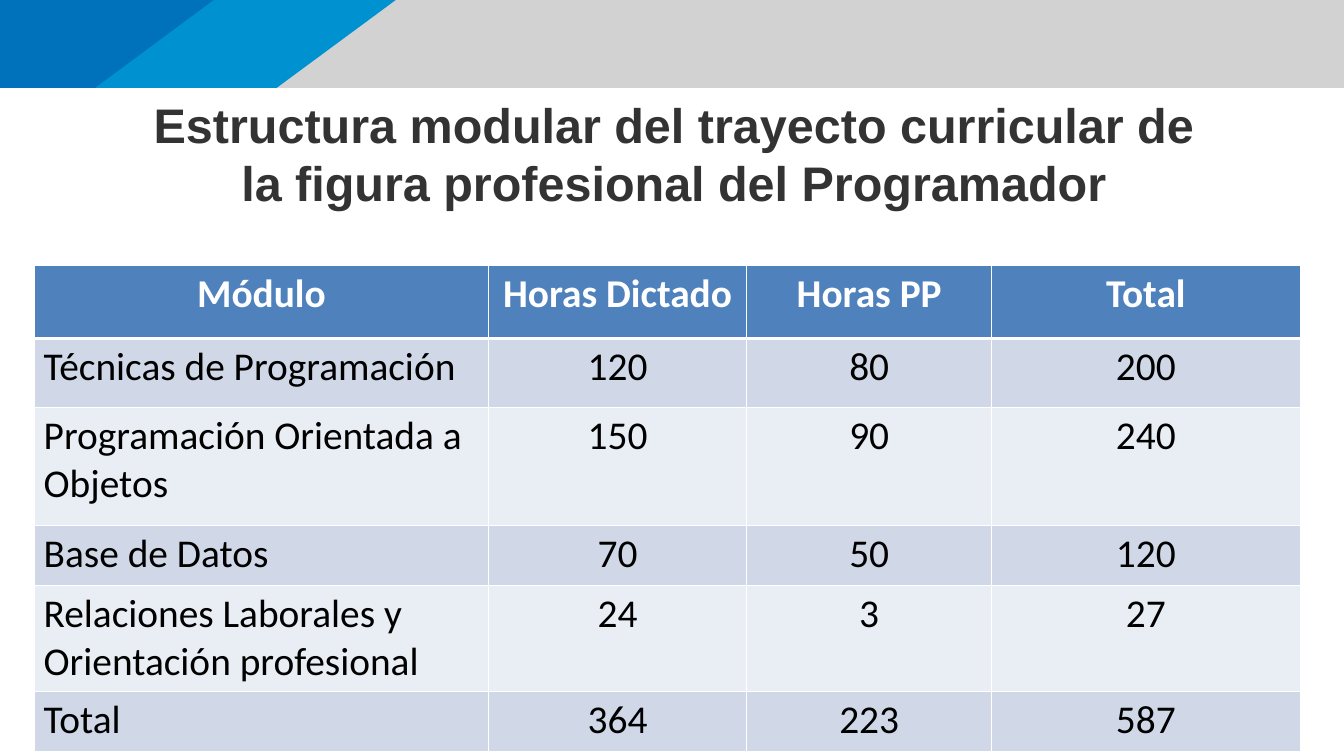
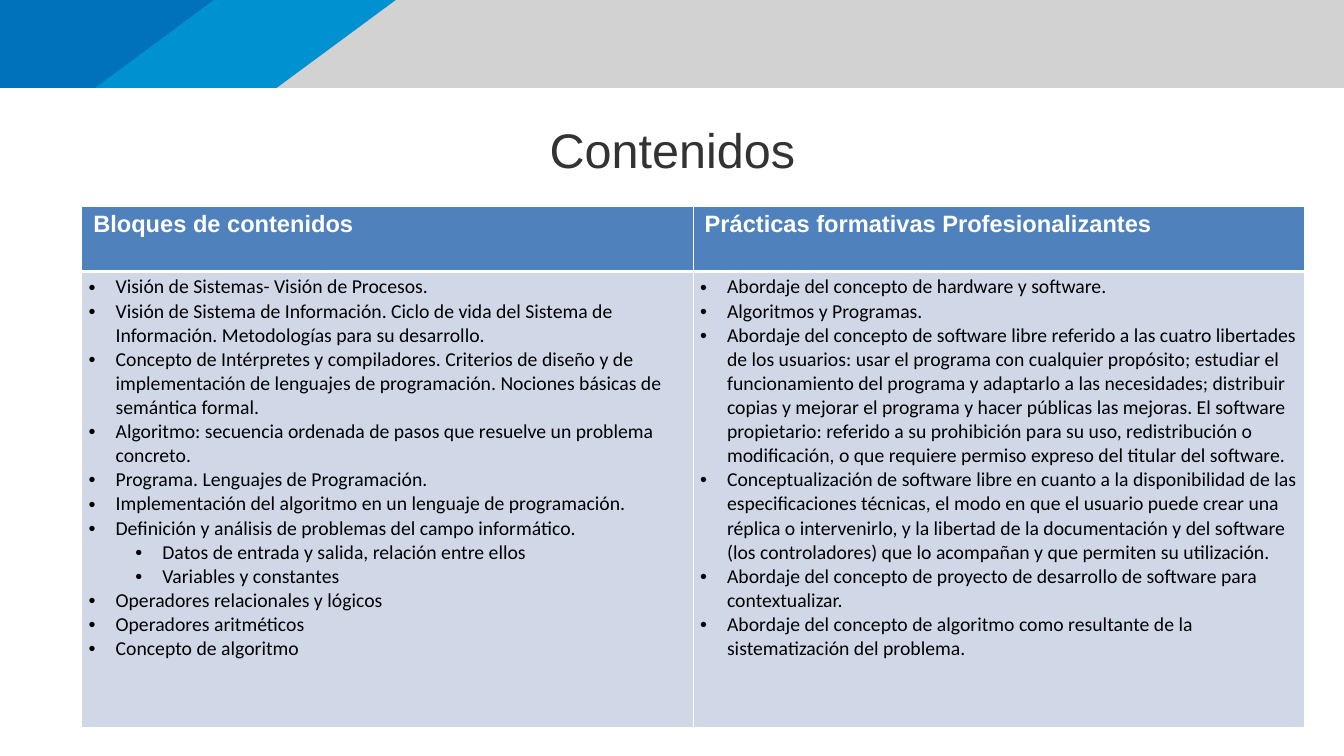
from lxml.etree import SubElement
from pptx import Presentation
from pptx.dml.color import RGBColor
from pptx.enum.text import MSO_ANCHOR, MSO_AUTO_SIZE, PP_ALIGN
from pptx.oxml import parse_xml
from pptx.oxml.ns import nsdecls, qn
from pptx.util import Pt

WIDTH, HEIGHT = 1365, 768
BAND_HEIGHT = 89.3
WHITE, BLACK, TITLE_GREY = "FFFFFF", "000000", "333333"
HEADER_BLUE, ROW_DARK, ROW_LIGHT = "4F81BD", "D0D8E8", "E9EDF4"
BULLET_HANG, LEVEL_STEP = 27.4, 47.5

BANDS = [
    ("D2D2D3", WIDTH, WIDTH),
    ("0091D1", 402, 281),
    ("0071BB", 217, 96.5),
]

MODULES = [
    ("Módulo", "Horas Dictado", "Horas PP", "Total"),
    ("Técnicas de Programación", "120", "80", "200"),
    ("Programación Orientada a Objetos", "150", "90", "240"),
    ("Base de Datos", "70", "50", "120"),
    ("Relaciones Laborales y Orientación profesional", "24", "3", "27"),
    ("Total", "364", "223", "587"),
]

CONTENTS = [
    (" Bloques de contenidos", [
        (0, "Visión de Sistemas- Visión de Procesos."),
        (0, "Visión de Sistema de Información. Ciclo de vida del Sistema de "
            "Información. Metodologías para su desarrollo."),
        (0, "Concepto de Intérpretes y compiladores. Criterios de diseño y de "
            "implementación de lenguajes de programación. Nociones básicas de "
            "semántica formal."),
        (0, "Algoritmo: secuencia ordenada de pasos que resuelve un problema "
            "concreto."),
        (0, "Programa. Lenguajes de Programación."),
        (0, "Implementación del algoritmo en un lenguaje de programación."),
        (0, "Definición y análisis de problemas del campo informático."),
        (1, "Datos de entrada y salida, relación entre ellos"),
        (1, "Variables y constantes"),
        (0, "Operadores relacionales y lógicos"),
        (0, "Operadores aritméticos"),
        (0, "Concepto de algoritmo"),
    ]),
    (" Prácticas formativas Profesionalizantes", [
        (0, "Abordaje del concepto de hardware y software."),
        (0, "Algoritmos y Programas."),
        (0, "Abordaje del concepto de software libre referido a las cuatro "
            "libertades de los usuarios: usar el programa con cualquier "
            "propósito; estudiar el funcionamiento del programa y adaptarlo a "
            "las necesidades; distribuir copias y mejorar el programa y hacer "
            "públicas las mejoras. El software propietario: referido a su "
            "prohibición para su uso, redistribución o modificación, o que "
            "requiere permiso expreso del titular del software."),
        (0, "Conceptualización de software libre en cuanto a la disponibilidad "
            "de las especificaciones técnicas, el modo en que el usuario puede "
            "crear una réplica o intervenirlo, y la libertad de la "
            "documentación y del software (los controladores) que lo acompañan "
            "y que permiten su utilización."),
        (0, "Abordaje del concepto de proyecto de desarrollo de software para "
            "contextualizar."),
        (0, "Abordaje del concepto de algoritmo como resultante de la "
            "sistematización del problema."),
    ]),
]


def color(hex_code):
    """Turn a hex string into a colour."""
    return RGBColor.from_string(hex_code)


def add_run(p, text, size, font, hex_code, bold=False):
    """Add one formatted run to a paragraph."""
    r = p.add_run()
    r.text = text
    r.font.size = Pt(size)
    r.font.name = font
    r.font.bold = bold
    r.font.color.rgb = color(hex_code)


def add_bands(s, layout):
    """Draw the slanted top bands and move them behind the layout."""
    for i, (fill, top_right, bottom_right) in enumerate(BANDS):
        builder = s.shapes.build_freeform(0, 0)
        corners = [(top_right, 0), (bottom_right, BAND_HEIGHT), (0, BAND_HEIGHT)]
        builder.add_line_segments([(Pt(x), Pt(y)) for x, y in corners])
        sp = builder.convert_to_shape()
        sp.shadow.inherit = False
        sp.fill.solid()
        sp.fill.fore_color.rgb = color(fill)
        sp.line.fill.background()
        layout.shapes.element.insert(2 + i, sp.element)


def set_title(s, text, left, top, width, height, bold=False):
    """Place and format the title placeholder."""
    sp = s.shapes.title
    sp.left, sp.top, sp.width, sp.height = map(Pt, (left, top, width, height))
    tf = sp.text_frame
    tf.margin_left = tf.margin_right = tf.margin_top = tf.margin_bottom = 0
    tf.word_wrap = True
    tf.auto_size = MSO_AUTO_SIZE.SHAPE_TO_FIT_TEXT
    tf.vertical_anchor = MSO_ANCHOR.TOP
    p = tf.paragraphs[0]
    p.alignment = PP_ALIGN.CENTER
    add_run(p, text, 49.3, "Arial", TITLE_GREY, bold)


def add_table(s, left, top, widths, heights):
    """Add a table with the given columns and rows."""
    frame = s.shapes.add_table(len(heights), len(widths), Pt(left), Pt(top),
                               Pt(sum(widths)), Pt(sum(heights)))
    table = frame.table
    table.first_row = table.horz_banding = False
    for column, width in zip(table.columns, widths):
        column.width = Pt(width)
    for row, height in zip(table.rows, heights):
        row.height = Pt(height)
    return table


def style_cell(cell, row, margin_x, margin_y):
    """Set fill, margins and white borders from the row number."""
    cell.margin_left = cell.margin_right = Pt(margin_x)
    cell.margin_top = cell.margin_bottom = Pt(margin_y)
    cell.fill.solid()
    fill = HEADER_BLUE if row == 0 else (ROW_LIGHT, ROW_DARK)[row % 2]
    cell.fill.fore_color.rgb = color(fill)
    widths = {"L": 1, "R": 1, "T": 3 if row == 1 else 1, "B": 3 if row == 0 else 1}
    for i, (side, width) in enumerate(widths.items()):
        border = parse_xml(
            f'<a:ln{side} {nsdecls("a")} w="{Pt(width)}"><a:solidFill>'
            f'<a:srgbClr val="{WHITE}"/></a:solidFill></a:ln{side}>')
        cell._tc.get_or_add_tcPr().insert(i, border)


def add_bullets(tf, items):
    """Fill a text frame with bulleted items of given levels."""
    for i, (level, text) in enumerate(items):
        p = tf.paragraphs[0] if i == 0 else tf.add_paragraph()
        p.level = level
        pPr = p._p.get_or_add_pPr()
        pPr.set("marL", str(Pt(BULLET_HANG + level * LEVEL_STEP)))
        pPr.set("indent", str(-Pt(BULLET_HANG)))
        SubElement(pPr, qn("a:buFont")).set("typeface", "Arial")
        SubElement(pPr, qn("a:buChar")).set("char", "•")
        add_run(p, text, 20, "Calibri", BLACK)


def add_module_table(s):
    """Add the table of modules and hours."""
    table = add_table(s, 34.8, 270, [461.5, 262, 249, 313],
                      [74, 70, 120, 61, 107, 61])
    for i, values in enumerate(MODULES):
        for j, value in enumerate(values):
            cell = table.cell(i, j)
            style_cell(cell, i, 9.6, 4.8)
            p = cell.text_frame.paragraphs[0]
            p.alignment = PP_ALIGN.CENTER if i == 0 or j > 0 else PP_ALIGN.LEFT
            add_run(p, value, 40, "Calibri", BLACK if i else WHITE, i == 0)


def add_contents_table(s):
    """Add the table of content blocks and practices."""
    table = add_table(s, 82.8, 210, [621, 621], [66, 463])
    for j, (heading, items) in enumerate(CONTENTS):
        header, body = table.cell(0, j), table.cell(1, j)
        style_cell(header, 0, 5.3, 0)
        p = header.text_frame.paragraphs[0]
        p.line_spacing = 1.15
        add_run(p, heading, 24, "Arial", WHITE, True)
        style_cell(body, 1, 7.2, 3.6)
        add_bullets(body.text_frame, items)


def main():
    """Build and save the presentation."""
    prs = Presentation()
    prs.slide_width, prs.slide_height = Pt(WIDTH), Pt(HEIGHT)
    layout = prs.slide_layouts[5]

    s = prs.slides.add_slide(layout)
    add_bands(s, layout)
    set_title(s, "Estructura modular del trayecto curricular de la figura "
                 "profesional del Programador", 149, 96, 1072, 119.5, True)
    add_module_table(s)

    s = prs.slides.add_slide(layout)
    set_title(s, "Contenidos", 437, 121.7, 492, 60)
    add_contents_table(s)

    prs.save("out.pptx")


if __name__ == "__main__":
    main()
